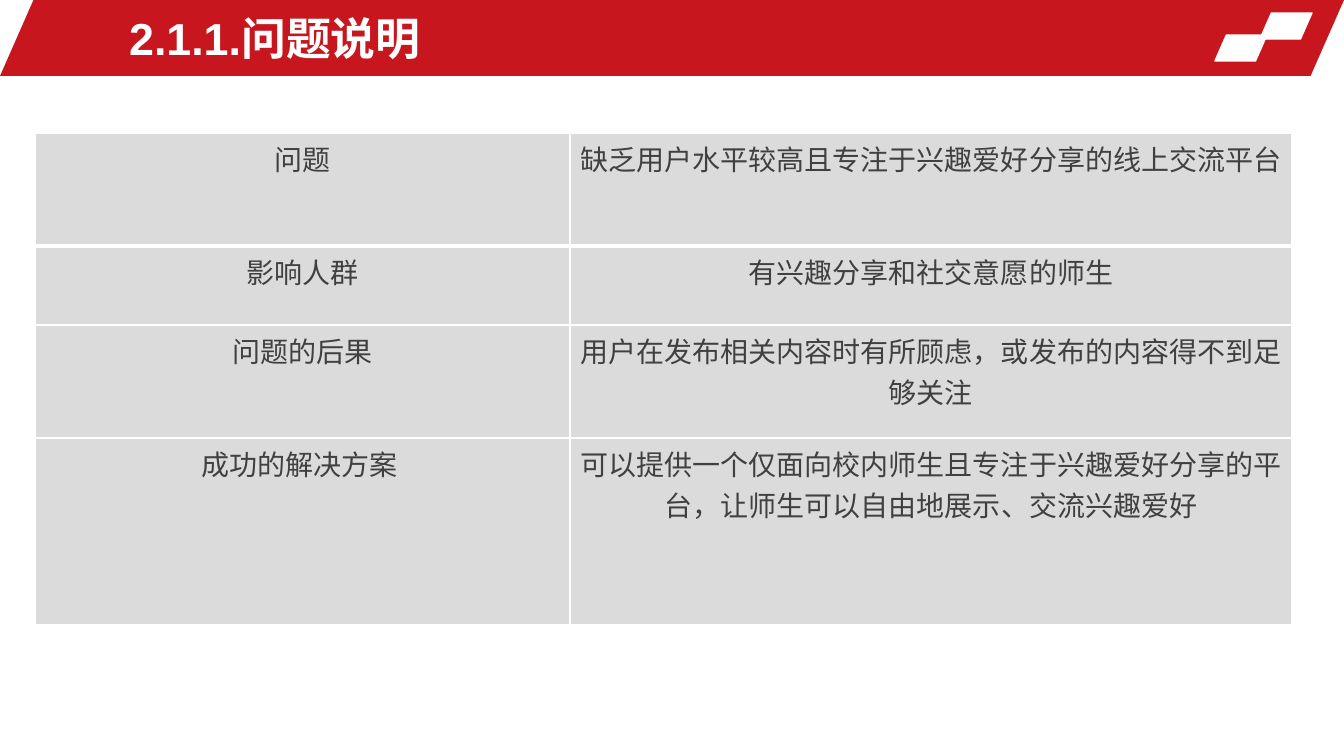
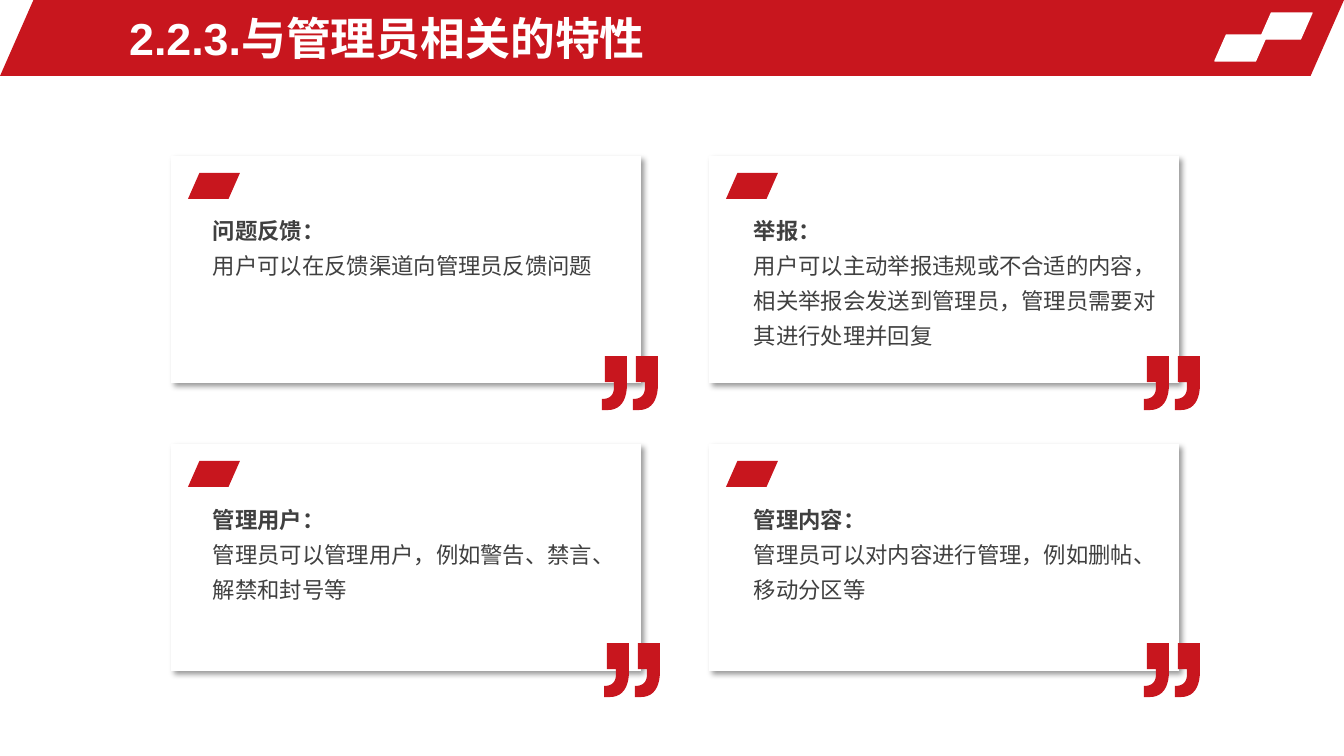
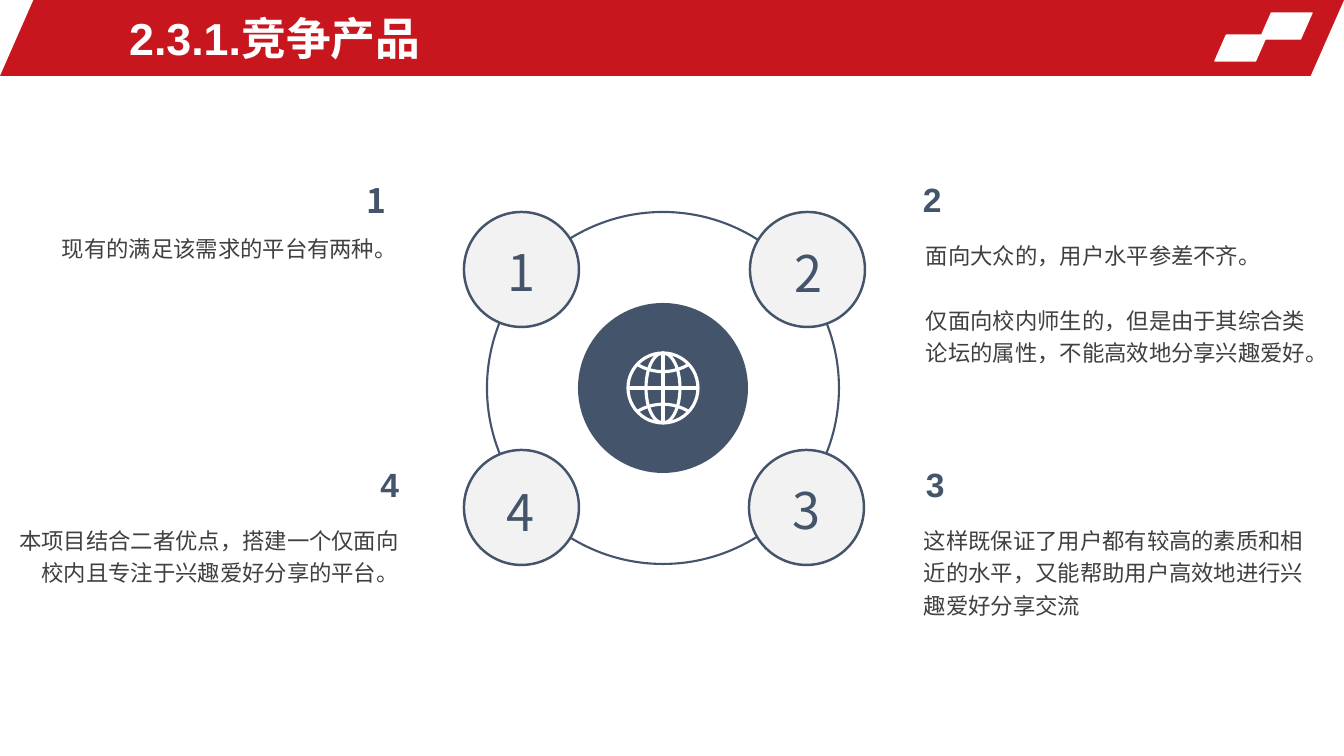
from dataclasses import dataclass

from pptx import Presentation
from pptx.dml.color import RGBColor
from pptx.enum.shapes import MSO_CONNECTOR, MSO_SHAPE
from pptx.enum.text import MSO_ANCHOR, MSO_AUTO_SIZE, PP_ALIGN
from pptx.oxml import parse_xml
from pptx.oxml.ns import nsdecls, qn
from pptx.shapes.shapetree import SlideShapes
from pptx.util import Emu, Pt
from lxml.etree import SubElement

SCALE = 914400 / 100.8
LEFT, CENTER, RIGHT = PP_ALIGN.LEFT, PP_ALIGN.CENTER, PP_ALIGN.RIGHT


@dataclass(frozen=True)
class Theme:
    red: str = "C8161E"
    white: str = "FFFFFF"
    slate: str = "44546A"
    text: str = "404040"
    cell: str = "DBDBDB"
    pale: str = "F2F2F2"
    font: str = "Arial"
    cjk_font: str = "Noto Sans CJK SC"
    title_size: int = 32
    number_size: int = 36
    heading_size: int = 24
    table_size: int = 20
    body_size: int = 16
    slant: float = 0.44


def px(length):
    return Emu(round(length * SCALE))


def assign(target, values):
    for name, value in values.items():
        setattr(target, name, value)


def trace(start, segments, steps=10):
    points = [start]
    for segment in segments:
        if len(segment) == 1:
            points.append(segment[0])
            continue
        corners = (points[-1], *segment)
        for step in range(1, steps + 1):
            t = step / steps
            weights = ((1 - t) ** 3, 3 * t * (1 - t) ** 2, 3 * t * t * (1 - t), t ** 3)
            points.append(tuple(
                sum(weight * corner[axis] for weight, corner in zip(weights, corners))
                for axis in (0, 1)))
    return points


class Deck:
    def __init__(self, theme):
        self.theme = theme
        self.presentation = Presentation()
        assign(self.presentation, {"slide_width": px(1344), "slide_height": px(756)})
        self.layout = self.presentation.slide_layouts[5]
        assign(self.layout.placeholders[0],
               {"left": px(119), "top": px(5), "width": px(780), "height": px(66)})
        self.shapes = SlideShapes(self.layout.shapes.element, self.layout)
        self.slanted((0, 0, 1344, 76), theme.red)
        for left, top in ((1260, 13), (1215, 35)):
            self.slanted((left, top, 52, 26), theme.white, theme.white)

    def new_slide(self, title):
        slide = self.presentation.slides.add_slide(self.layout)
        self.shapes = slide.shapes
        frame = slide.shapes.title.text_frame
        assign(frame, {"vertical_anchor": MSO_ANCHOR.MIDDLE,
                       "auto_size": MSO_AUTO_SIZE.NONE, "word_wrap": True})
        self.add_text(frame.paragraphs[0], title, self.theme.title_size,
                      self.theme.white, bold=True)

    def add_text(self, paragraph, text, size, color, bold=False, align=LEFT,
                 line_spacing=None, font=None, tracking=None):
        assign(paragraph, {"alignment": align, "line_spacing": line_spacing})
        run = paragraph.add_run()
        run.text = text
        assign(run.font, {"size": Pt(size), "bold": bold, "name": font or self.theme.font})
        run.font.color.rgb = RGBColor.from_string(color)
        properties = run._r.get_or_add_rPr()
        SubElement(properties, qn("a:ea")).set("typeface", self.theme.cjk_font)
        if tracking:
            properties.set("spc", str(tracking * 100))

    def textbox(self, box, lines, size, color, wrap=True, gap=0, bold_first=False, **style):
        frame = self.shapes.add_textbox(*map(px, box)).text_frame
        assign(frame, {"word_wrap": wrap, "auto_size": MSO_AUTO_SIZE.SHAPE_TO_FIT_TEXT})
        for index, line in enumerate(lines):
            paragraph = frame.add_paragraph() if index else frame.paragraphs[0]
            if index and gap:
                paragraph.space_before = Pt(gap)
            self.add_text(paragraph, line, size, color,
                          bold=bold_first and index == 0, **style)

    def paint(self, shape, fill=None, line=None, width=1):
        shape.shadow.inherit = False
        if fill:
            shape.fill.solid()
            shape.fill.fore_color.rgb = RGBColor.from_string(fill)
        else:
            shape.fill.background()
        if line:
            shape.line.color.rgb = RGBColor.from_string(line)
            shape.line.width = Pt(width)
        else:
            shape.line.fill.background()
        return shape

    def shape(self, preset, box, fill=None, line=None, width=1):
        return self.paint(self.shapes.add_shape(preset, *map(px, box)), fill, line, width)

    def slanted(self, box, fill, line=None):
        self.shape(MSO_SHAPE.PARALLELOGRAM, box, fill, line).adjustments[0] = self.theme.slant

    def circle(self, box, fill=None, line=None, width=1):
        self.shape(MSO_SHAPE.OVAL, box, fill, line, width)

    def line(self, start, end, color, width):
        connector = self.shapes.add_connector(MSO_CONNECTOR.STRAIGHT, *map(px, start + end))
        connector.line.color.rgb = RGBColor.from_string(color)
        connector.line.width = Pt(width)
        SubElement(connector.element.spPr, qn("a:effectLst"))

    def outline(self, contours, closed=True, **look):
        contours = [[(px(x), px(y)) for x, y in contour] for contour in contours]
        builder = self.shapes.build_freeform(*contours[0][0])
        for index, contour in enumerate(contours):
            if index:
                builder.move_to(*contour[0])
            builder.add_line_segments(contour[1:], close=closed)
        self.paint(builder.convert_to_shape(), **look)

    def card(self, left, top):
        card = self.shape(MSO_SHAPE.RECTANGLE, (left, top, 470, 227), self.theme.white)
        effects = card.element.spPr.find(qn("a:effectLst"))
        effects.append(parse_xml(
            f'<a:outerShdw {nsdecls("a")} blurRad="{Pt(4)}" dist="{Pt(3)}" dir="2700000" '
            'algn="tl" rotWithShape="0"><a:srgbClr val="000000">'
            '<a:alpha val="40000"/></a:srgbClr></a:outerShdw>'))
        self.slanted((left + 17, top + 17, 52, 26), self.theme.red)

    def quote(self, left, top):
        mark = trace((3, 26), [
            [(12, 26)], [(12, 31)], [(12, 39), (8, 43), (0, 43)], [(0, 54)], [(6, 54)],
            [(18, 54), (25, 45), (25, 28)], [(25, 0)], [(3, 0)]])
        self.outline([[(left + shift + x, top + y) for x, y in mark] for shift in (31, 0)],
                     fill=self.theme.red)

    def globe(self, x, y):
        radius, color, width = 35, self.theme.white, 2.25
        for half in (radius, 17):
            self.circle((x - half, y - radius, 2 * half, 2 * radius), line=color, width=width)
        self.line((x - radius, y), (x + radius, y), color, width)
        self.line((x, y - radius), (x, y + radius), color, width)
        for side in (-1, 1):
            edge, bend = y + side * 23, y + side * 14
            parallel = trace((x - 25, edge), [[(x - 9, bend), (x + 9, bend), (x + 25, edge)]])
            self.outline([parallel], closed=False, line=color, width=width)

    def table(self, left, top, columns, heights, rows):
        box = (left, top, sum(columns), sum(heights))
        table = self.shapes.add_table(len(rows), len(columns), *map(px, box)).table
        assign(table, {"first_row": False, "horz_banding": False})
        for column, width in zip(table.columns, columns):
            column.width = px(width)
        for index, (row, height, texts) in enumerate(zip(table.rows, heights, rows)):
            row.height = px(height)
            thick = {0: "lnB", 1: "lnT"}.get(index)
            for cell, text in zip(row.cells, texts):
                self.borders(cell, thick)
                cell.fill.solid()
                cell.fill.fore_color.rgb = RGBColor.from_string(self.theme.cell)
                self.add_text(cell.text_frame.paragraphs[0], text, self.theme.table_size,
                              self.theme.text, align=CENTER)

    def borders(self, cell, thick):
        properties = cell._tc.get_or_add_tcPr()
        for side in ("lnL", "lnR", "lnT", "lnB"):
            width = Pt(3 if side == thick else 1)
            properties.append(parse_xml(
                f'<a:{side} {nsdecls("a")} w="{width}"><a:solidFill>'
                f'<a:srgbClr val="{self.theme.white}"/></a:solidFill></a:{side}>'))


def problem_slide(deck):
    deck.new_slide("2.1.1.问题说明")
    deck.table(35, 133, (535, 722), (113, 79, 113, 187), (
        ("问题", "缺乏用户水平较高且专注于兴趣爱好分享的线上交流平台"),
        ("影响人群", "有兴趣分享和社交意愿的师生"),
        ("问题的后果", "用户在发布相关内容时有所顾虑，或发布的内容得不到足够关注"),
        ("成功的解决方案 ",
         "可以提供一个仅面向校内师生且专注于兴趣爱好分享的平台，让师生可以自由地展示、交流兴趣爱好"),
    ))


def feature_slide(deck):
    theme = deck.theme
    deck.new_slide("2.2.3.与管理员相关的特性")
    columns = ((171, 203), (709, 744))
    rows = ((156, 204, 356), (444, 493, 643))
    features = (
        (0, 0, 602, "问题反馈：", "用户可以在反馈渠道向管理员反馈问题"),
        (1, 0, 1144, "举报：",
         "用户可以主动举报违规或不合适的内容，相关举报会发送到管理员，管理员需要对其进行处理并回复"),
        (0, 1, 604, "管理用户：", "管理员可以管理用户，例如警告、禁言、解禁和封号等"),
        (1, 1, 1144, "管理内容：", "管理员可以对内容进行管理，例如删帖、移动分区等"),
    )
    for column, row, quote_left, *lines in features:
        card_left, text_left = columns[column]
        card_top, text_top, quote_top = rows[row]
        deck.card(card_left, card_top)
        deck.textbox((text_left, text_top, 427, 35 * len(lines) + 8), lines,
                     theme.body_size, theme.text, bold_first=True, line_spacing=1.3)
        deck.quote(quote_left, quote_top)


def competitor_slide(deck):
    theme = deck.theme
    deck.new_slide("2.3.1.竞争产品")
    headings = (
        ("1", (357, 175, 41, 50), LEFT, theme.cjk_font),
        ("2", (913, 174, 39, 50), LEFT, theme.font),
        ("3", (916, 459, 39, 50), LEFT, theme.font),
        ("4", (120, 459, 289, 50), RIGHT, theme.font),
    )
    for number, box, align, font in headings:
        deck.textbox(box, [number], theme.heading_size, theme.slate, wrap=align == RIGHT,
                     bold_first=True, align=align, font=font)
    bodies = (
        ((5, 230, 402, 37), RIGHT, None, ["现有的满足该需求的平台有两种。"]),
        ((916, 232, 402, 138), LEFT, 1.2,
         ["面向大众的，用户水平参差不齐。",
          "仅面向校内师生的，但是由于其综合类论坛的属性，不能高效地分享兴趣爱好。"]),
        ((914, 517, 402, 105), LEFT, 1.2,
         ["这样既保证了用户都有较高的素质和相近的水平，又能帮助用户高效地进行兴趣爱好分享交流"]),
        ((7, 517, 402, 73), RIGHT, 1.2,
         ["本项目结合二者优点，搭建一个仅面向校内且专注于兴趣爱好分享的平台。"]),
    )
    for box, align, spacing, lines in bodies:
        deck.textbox(box, lines, theme.body_size, theme.text, gap=23,
                     align=align, line_spacing=spacing)
    deck.circle((578, 303, 170, 170), theme.slate)
    deck.circle((487, 212, 352, 352), line=theme.slate, width=1.5)
    nodes = (("1", 464, 212, 498, 236), ("2", 750, 212, 785, 237),
             ("3", 749, 450, 783, 474), ("4", 464, 450, 497, 476))
    for number, left, top, text_left, text_top in nodes:
        deck.circle((left, top, 115, 115), theme.pale, theme.slate, 1.75)
        deck.textbox((text_left, text_top, 131, 72), [number], theme.number_size,
                     theme.slate, font=theme.cjk_font, tracking=3)
    deck.globe(663, 388)


def main():
    deck = Deck(Theme())
    problem_slide(deck)
    feature_slide(deck)
    competitor_slide(deck)
    deck.presentation.save("out.pptx")


if __name__ == "__main__":
    main()
